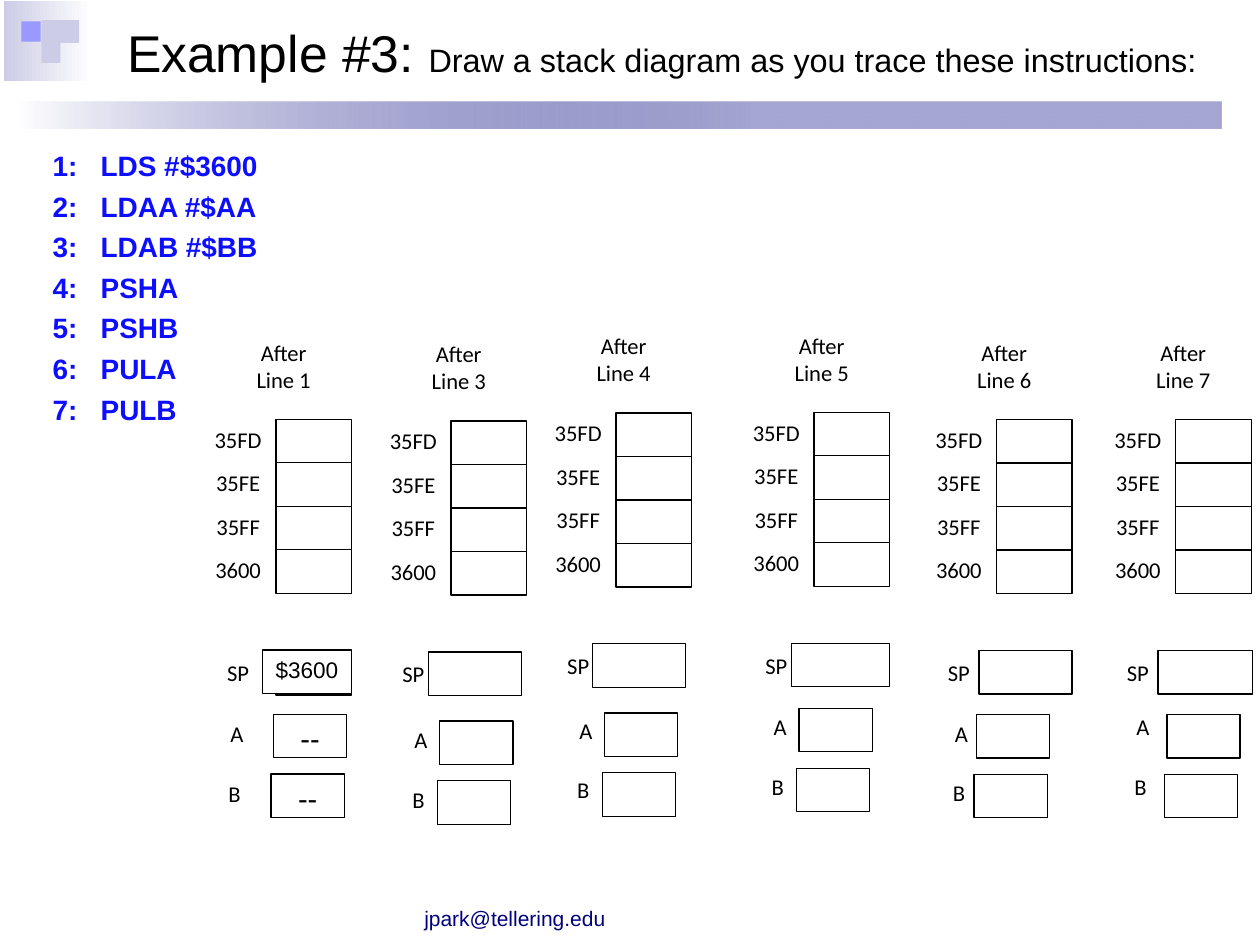
"""Build the stack diagram exercise slide."""
from dataclasses import dataclass
from typing import NamedTuple

from lxml import etree
from pptx import Presentation
from pptx.dml.color import RGBColor
from pptx.enum.shapes import MSO_SHAPE
from pptx.enum.text import MSO_ANCHOR, PP_ALIGN
from pptx.oxml.ns import qn
from pptx.util import Pt

RECT = MSO_SHAPE.RECTANGLE
CENTER, LEFT = PP_ALIGN.CENTER, PP_ALIGN.LEFT
TOP, MIDDLE = MSO_ANCHOR.TOP, MSO_ANCHOR.MIDDLE


@dataclass(frozen=True)
class Theme:
    black: str = "000000"
    white: str = "FFFFFF"
    navy: str = "00007D"
    code: str = "0D0DFF"
    pale: str = "CCCCE6"
    accent: str = "9999FF"
    body_font: str = "Arial"
    label_font: str = "Calibri"
    title: float = 29.5
    subtitle: float = 18.5
    instruction: float = 16
    dash: float = 16.6
    label: float = 12.9
    footer: float = 12
    outline: float = 0.75


T = Theme()


class Box(NamedTuple):
    x: float
    y: float
    w: float
    h: float


class Run(NamedTuple):
    text: str
    size: float
    font: str = T.body_font
    color: str = T.black
    bold: bool = False


class Offset(NamedTuple):
    dx: float
    dy: float


@dataclass(frozen=True)
class Stack:
    line: int
    x: float
    y: float
    sp_dx: float
    sp_w: float
    register: Offset
    name: Offset
    sp_text: str = ""
    register_text: str = ""


STACKS = [
    Stack(1, 157.7, 239.6, -7.9, 51.1, Offset(-1.4, 168.5), Offset(-43.2, 168.5), "$3600", "--"),
    Stack(3, 257.8, 240.6, -13, 53.3, Offset(-6.5, 171.4), Offset(-38.2, 170.6)),
    Stack(4, 352, 236, -13.5, 53.3, Offset(-6.5, 171.4), Offset(-38.2, 169.9)),
    Stack(5, 465.2, 235.6, -13, 56.2, Offset(-8.6, 169.2), Offset(-40.3, 168.5)),
    Stack(6, 569.5, 239.8, -10.1, 53.3, Offset(-11.5, 168.5), Offset(-41, 167.8)),
    Stack(7, 671.8, 239.8, -10.1, 54, Offset(-5, 168.5), Offset(-39.6, 164.2)),
]
ADDRESSES = ["35FD", "35FE", "35FF", "3600"]
INSTRUCTIONS = ["LDS #$3600", "LDAA #$AA", "LDAB #$BB", "PSHA", "PSHB", "PULA", "PULB"]
CELL_W, CELL_H, REGISTER_W = 43.2, 24.85, 41.8
SP_DY, SP_LABEL_DY = 131.9, 133.2
REGISTER_STEP = Offset(-1.4, 34.2)
HEADING = Box(-25.9, -49.7, 60.5, 49.7)
CODE_INDENT, CODE_GAP = 27.5, 4


def set_attrs(target, values: dict) -> None:
    for name, value in values.items():
        setattr(target, name, value)


def fill_text(tf, paragraphs: list[list[Run]], align=CENTER, anchor=TOP,
              inset: Offset = Offset(6.5, 3.6)) -> None:
    side, edge = Pt(inset.dx), Pt(inset.dy)
    set_attrs(tf, {"word_wrap": True, "vertical_anchor": anchor, "margin_left": side,
                   "margin_right": side, "margin_top": edge, "margin_bottom": edge})
    for i, runs in enumerate(paragraphs):
        p = tf.add_paragraph() if i else tf.paragraphs[0]
        p.alignment = align
        for run in runs:
            r = p.add_run()
            r.text = run.text
            set_attrs(r.font, {"size": Pt(run.size), "name": run.font, "bold": run.bold})
            r.font.color.rgb = RGBColor.from_string(run.color)


def add_text(s, box: Box, paragraphs: list[list[Run]], **layout):
    tf = s.shapes.add_textbox(*map(Pt, box)).text_frame
    fill_text(tf, paragraphs, **layout)
    return tf


def add_label(s, box: Box, text: str) -> None:
    add_text(s, box, [[Run(text, T.label, T.label_font)]])


def add_rect(s, box: Box, color: str = T.white, outlined: bool = False):
    sp = s.shapes.add_shape(RECT, *map(Pt, box))
    sp.shadow.inherit = False
    sp.fill.solid()
    sp.fill.fore_color.rgb = RGBColor.from_string(color)
    if outlined:
        sp.line.color.rgb = RGBColor.from_string(T.black)
        sp.line.width = Pt(T.outline)
    else:
        sp.line.fill.background()
    return sp


def add_cell(s, box: Box, text: str = "", size: float = T.label) -> None:
    sp = add_rect(s, box, outlined=True)
    if text:
        fill_text(sp.text_frame, [[Run(text, size)]])


def add_gradient(s, box: Box, start: str, end: str, end_at: float = 1, alpha: int = 100) -> None:
    sp = add_rect(s, box)
    sp.fill.gradient()
    sp.fill.gradient_angle = 0
    for stop, color, position in zip(sp.fill.gradient_stops, (start, end), (0, end_at)):
        stop.color.rgb = RGBColor.from_string(color)
        stop.position = position
    if alpha < 100:
        rgb = sp.element.spPr.findall(".//" + qn("a:srgbClr"))[-1]
        etree.SubElement(rgb, qn("a:alpha"), val=str(alpha * 1000))


def draw_header(s) -> None:
    add_gradient(s, Box(2.2, 0.7, 51, 45.4), T.pale, T.white)
    add_gradient(s, Box(10, 58, 688, 15.5), T.white, T.navy, 0.61, 35)
    add_rect(s, Box(23.7, 11.5, 21.6, 13), T.pale)
    add_rect(s, Box(23.7, 24.5, 10.8, 11.5), T.pale)
    add_rect(s, Box(12.3, 12.3, 11, 11.5), T.accent)
    title = [Run("Example #3: ", T.title),
             Run("Draw a stack diagram as you trace these instructions:", T.subtitle)]
    add_text(s, Box(65.5, 8.6, 650, 41.8), [title], align=LEFT, anchor=MIDDLE,
             inset=Offset(7.2, 3.6))


def draw_instructions(s) -> None:
    lines = [[Run(f"{i}:\t{code}", T.instruction, color=T.code, bold=True)]
             for i, code in enumerate(INSTRUCTIONS, 1)]
    tf = add_text(s, Box(23, 81.4, 598, 329), lines, align=LEFT, inset=Offset(7.2, 3.6))
    for p in tf.paragraphs:
        p.space_before = Pt(CODE_GAP)
        pPr = p._p.get_or_add_pPr()
        pPr.set("marL", str(Pt(CODE_INDENT)))
        pPr.set("indent", str(-Pt(CODE_INDENT)))


def draw_stack(s, stack: Stack) -> None:
    x, y = stack.x, stack.y
    label_x = x - CELL_W
    add_label(s, Box(x + HEADING.x, y + HEADING.y, HEADING.w, HEADING.h), f"After Line {stack.line}")
    for i, address in enumerate(ADDRESSES):
        row_y = y + i * CELL_H
        add_cell(s, Box(x, row_y, CELL_W, CELL_H))
        add_label(s, Box(label_x, row_y, CELL_W, CELL_H), address)
    if stack.sp_text:
        add_cell(s, Box(x, y + SP_DY + 0.9, CELL_W, CELL_H))
    add_cell(s, Box(x + stack.sp_dx, y + SP_DY, stack.sp_w, CELL_H), stack.sp_text)
    add_label(s, Box(label_x, y + SP_LABEL_DY, CELL_W, CELL_H), "SP")
    for i, name in enumerate("AB"):
        left, top = x + i * REGISTER_STEP.dx, y + i * REGISTER_STEP.dy
        add_cell(s, Box(left + stack.register.dx, top + stack.register.dy, REGISTER_W, CELL_H),
                 stack.register_text, T.dash)
        add_label(s, Box(left + stack.name.dx, top + stack.name.dy, REGISTER_W, CELL_H), name)


def main() -> None:
    prs = Presentation()
    set_attrs(prs, {"slide_width": Pt(720), "slide_height": Pt(540)})
    s = prs.slides.add_slide(prs.slide_layouts[6])
    draw_header(s)
    add_text(s, Box(235.4, 514, 124.6, 21.6), [[Run("jpark@tellering.edu", T.footer, color=T.navy)]],
             align=LEFT, inset=Offset(7.2, 3.6))
    draw_instructions(s)
    for stack in STACKS:
        draw_stack(s, stack)
    prs.save("out.pptx")


if __name__ == "__main__":
    main()
